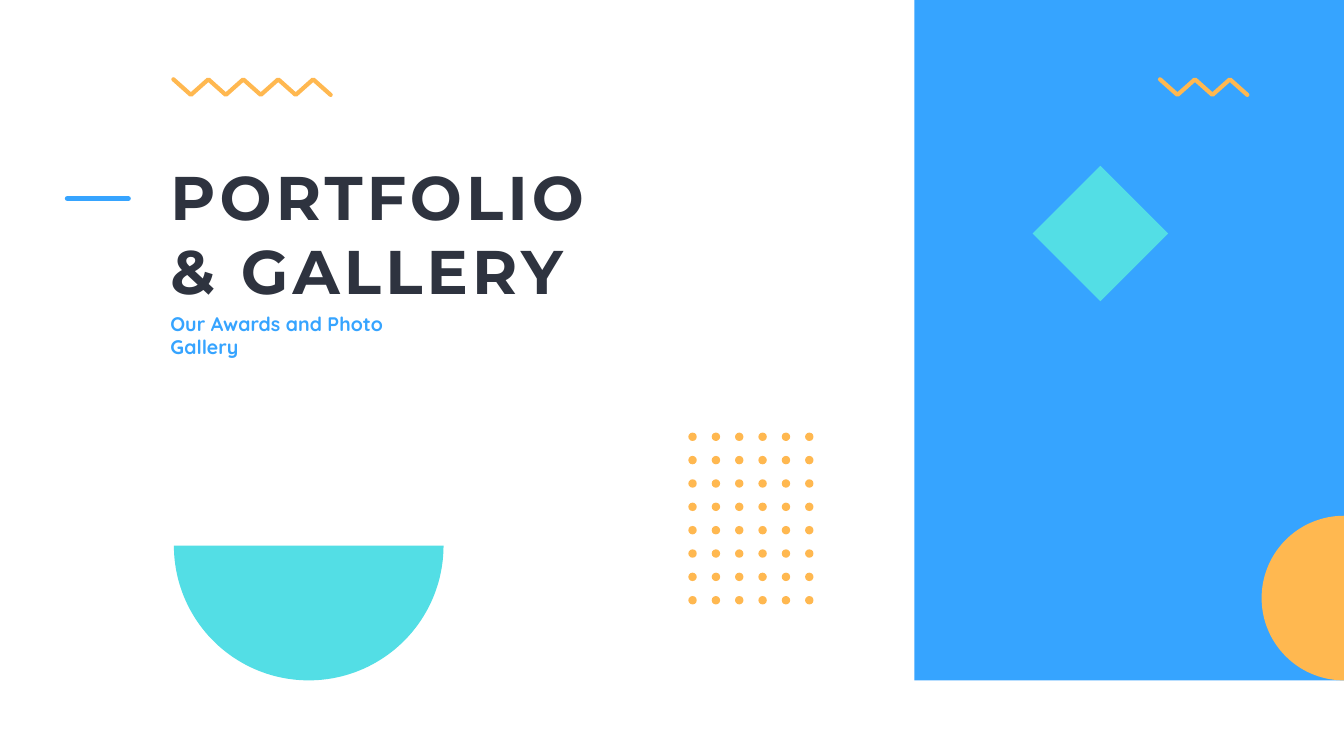
from math import cos, pi, sin

from pptx import Presentation
from pptx.dml.color import RGBColor
from pptx.enum.shapes import MSO_CONNECTOR, MSO_SHAPE
from pptx.enum.text import MSO_AUTO_SIZE
from pptx.oxml.ns import qn
from pptx.util import Emu, Pt
from lxml.etree import SubElement

COLUMNS, ROWS = 160, 90
UNIT = 76200


def color(code):
    return RGBColor.from_string(code)


def grid(*lengths):
    return [Emu(round(length * UNIT)) for length in lengths]


class Composer:
    """Draws styled elements on the current slide, measured in grid columns and rows."""

    blue, teal, orange, ink = "36A4FF", "53DEE5", "FFB850", "2E333F"
    title_font, body_font = "Montserrat", "Quicksand"

    def __init__(self, page):
        self.page = page

    def fill(self, shape, code):
        shape.shadow.inherit = False
        shape.fill.solid()
        shape.fill.fore_color.rgb = color(code)
        shape.line.fill.background()
        return shape

    def stroke(self, shape, code, points):
        shape.line.color.rgb = color(code)
        shape.line.width = Pt(points)
        outline = shape.line._get_or_add_ln()
        outline.set("cap", "rnd")
        SubElement(outline, qn("a:round"))

    def block(self, kind, column, row, width, height, code, parent=None):
        shapes = (parent or self.page).shapes
        return self.fill(shapes.add_shape(kind, *grid(column, row, width, height)), code)

    def text(self, lines, column, row, width, height, font, size, code, spacing=0):
        box = self.page.shapes.add_textbox(*grid(column, row, width, height))
        frame = box.text_frame
        frame.word_wrap = True
        frame.auto_size = MSO_AUTO_SIZE.SHAPE_TO_FIT_TEXT
        for index, line in enumerate(lines):
            para = frame.add_paragraph() if index else frame.paragraphs[0]
            span = para.add_run()
            span.text = line
            span.font.name = font
            span.font.size = Pt(size)
            span.font.bold = True
            span.font.color.rgb = color(code)
            if spacing:
                span._r.get_or_add_rPr().set("spc", str(spacing * 100))

    def dash(self, start, end, row, code, points):
        line = self.page.shapes.add_connector(
            MSO_CONNECTOR.STRAIGHT, *grid(start, row, end, row))
        self.stroke(line, code, points)
        SubElement(line._element.spPr, qn("a:effectLst"))

    def outline(self, points, close):
        corners = [grid(*point) for point in points]
        builder = self.page.shapes.build_freeform(*corners[0])
        builder.add_line_segments(corners[1:], close=close)
        return builder.convert_to_shape()

    def half_disc(self, column, row, radius, start, code, steps=90):
        angles = [start + pi * step / steps for step in range(steps + 1)]
        points = [(column + radius * cos(a), row + radius * sin(a)) for a in angles]
        self.fill(self.outline(points, True), code)

    def zigzag(self, column, segments, code, top=9.45, depth=1.85, stride=2.08):
        points = [(column + stride * i, top + depth * (i % 2)) for i in range(segments + 1)]
        shape = self.outline(points, False)
        shape.shadow.inherit = False
        shape.fill.background()
        self.stroke(shape, code, 3)

    def dots(self, column, row, across, down, pitch, size, code):
        group = self.page.shapes.add_group_shape()
        for index in range(across * down):
            y, x = divmod(index, across)
            self.block(MSO_SHAPE.OVAL, column + x * pitch, row + y * pitch,
                       size, size, code, group)


def main():
    deck = Presentation()
    deck.slide_width, deck.slide_height = grid(COLUMNS, ROWS)
    draw = Composer(deck.slides.add_slide(deck.slide_layouts[6]))

    draw.block(MSO_SHAPE.RECTANGLE, 108.85, 0, COLUMNS - 108.85, 81, draw.blue)
    draw.text(["PORTFOLIO", "& GALLERY"], 19.1, 18.35, 53.5, 19,
              draw.title_font, 44, draw.ink, spacing=3)
    draw.text(["Our Awards and Photo Gallery"], 19.1, 36.5, 35.6, 4.1,
              draw.body_font, 14, draw.blue)
    draw.dash(8.05, 15.25, 23.65, draw.blue, 4)
    draw.half_disc(COLUMNS, 71.2, 9.8, pi / 2, draw.orange)
    draw.zigzag(138.1, 5, draw.orange)
    draw.half_disc(36.75, 64.95, 16.05, 0, draw.teal)
    draw.zigzag(20.65, 9, draw.orange)
    diamond = draw.block(MSO_SHAPE.RECTANGLE, 125.3, 22.1, 11.4, 11.4, draw.teal)
    diamond.rotation = 45
    draw.dots(81.95, 51.5, 6, 8, 2.78, 1, draw.orange)

    deck.save("out.pptx")


if __name__ == "__main__":
    main()
